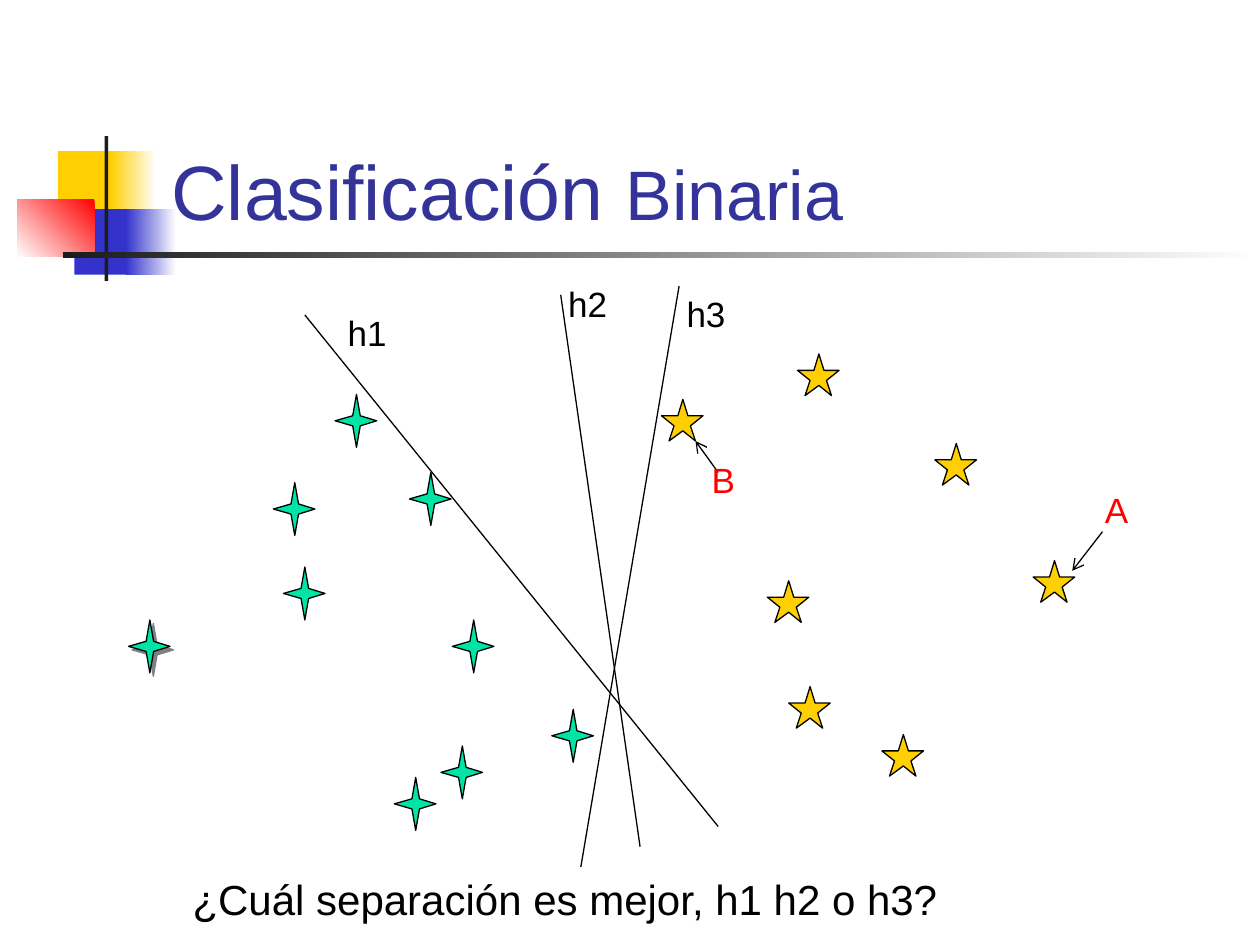
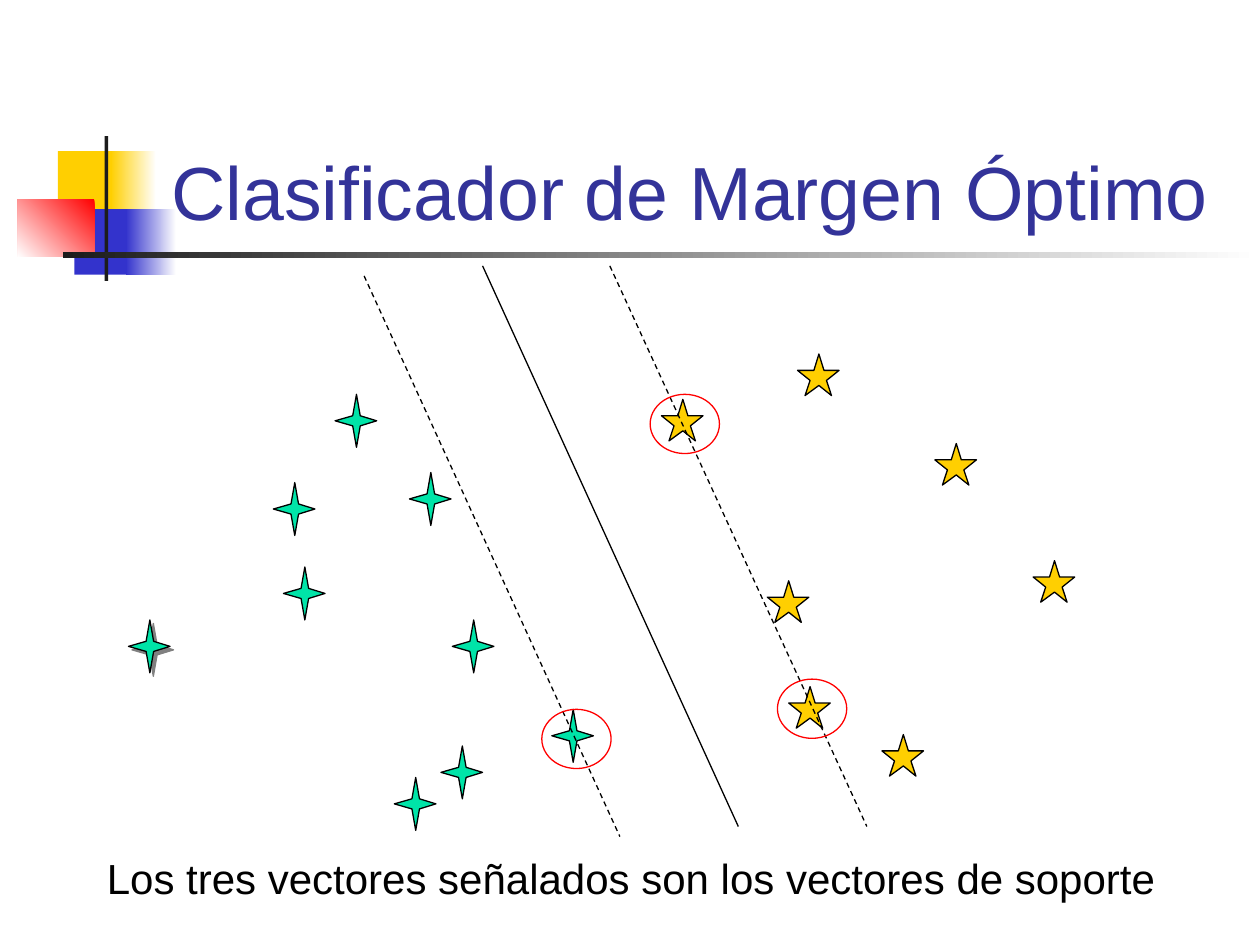
from dataclasses import dataclass

from lxml.etree import SubElement
from pptx import Presentation
from pptx.dml.color import RGBColor
from pptx.enum.dml import MSO_LINE
from pptx.enum.shapes import MSO_CONNECTOR as CONN, MSO_SHAPE as SHAPE
from pptx.enum.text import MSO_ANCHOR as ANCHOR, MSO_AUTO_SIZE as AUTO, PP_ALIGN as ALIGN
from pptx.oxml.ns import qn
from pptx.util import Inches, Pt


@dataclass(frozen=True)
class Theme:
    """Colours, font and sizes of the deck."""
    font: str = "Arial"
    title: str = "333399"
    text: str = "000000"
    accent: str = "FF0000"
    gold: str = "FFCF01"
    blue: str = "3333CC"
    dark: str = "1C1C1C"
    green: str = "00E4A8"
    white: str = "FFFFFF"
    shadow: str = "808080"
    caption_pt: int = 24
    label_pt: int = 20
    line_pt: float = 0.74


T = Theme()

# Band behind the title: box, colours (one is solid, two a gradient), angle
BAND = [
    ((0.46, 1.2, 0.48, 0.52), (T.gold,), 0),
    ((0.88, 1.2, 0.36, 0.52), (T.white, T.gold), 180),
    ((0.59, 1.66, 0.46, 0.52), (T.blue,), 0),
    ((1, 1.66, 0.4, 0.52), (T.white, T.blue), 180),
    ((0.14, 1.58, 0.61, 0.46), (T.accent, T.white), 225),
    ((0.83, 1.08, 0.03, 1.15), (T.dark,), 0),
    ((0.5, 2, 9.5, 0.05), (T.white, T.dark), 180),
]
TITLE_BOX = (1.26, 0.67, 8.52, 1.25)

# Outlines of the two markers, from their top left corner
SPARK = [(0, 0.21), (0.14, 0.17), (0.17, 0), (0.2, 0.17),
         (0.33, 0.21), (0.2, 0.25), (0.17, 0.42), (0.14, 0.25)]
STAR = [(0, 0.13), (0.13, 0.13), (0.17, 0), (0.21, 0.13), (0.33, 0.13),
        (0.23, 0.21), (0.27, 0.33), (0.17, 0.25), (0.06, 0.33), (0.1, 0.21)]

# The two classes: top left corner of each sample
SPARKS = [(2.17, 3.83), (2.25, 4.5), (3.25, 3.75), (3.59, 4.92), (4.38, 5.63),
          (3.5, 5.92), (2.66, 3.13), (3.13, 6.17)]
SHADED_SPARK = (1.02, 4.92)
STARS = [(6.09, 4.61), (6.33, 2.81), (7.42, 3.52), (5.25, 3.17),
         (7, 5.83), (8.2, 4.45), (6.26, 5.45)]
RING_SIZE = (0.55, 0.47)

SLIDES = [
    {
        "title": [("Clasificación ", 44), ("Binaria", 40)],
        "lines": [((2.42, 2.5), (5.7, 6.56), None),
                  ((4.45, 2.34), (5.08, 6.72), None),
                  ((5.39, 2.27), (4.61, 6.88), None),
                  ((8.75, 4.22), (8.51, 4.53), "arrow"),
                  ((5.7, 3.75), (5.52, 3.5), "arrow")],
        "labels": [("h1", (2.66, 2.42, 0.51, 0.44), T.text),
                   ("h2", (4.41, 2.19, 0.51, 0.44), T.text),
                   ("h3", (5.35, 2.27, 0.51, 0.44), T.text),
                   ("A", (8.67, 3.83, 0.38, 0.44), T.accent),
                   ("B", (5.55, 3.59, 0.38, 0.44), T.accent)],
        "rings": [],
        "caption": ("¿Cuál separación es mejor, h1 h2 o h3?", (1.43, 6.88, 6.13, 0.5)),
    },
    {
        "title": [("Clasificador de Margen Óptimo", 43)],
        "lines": [((4.84, 2.11), (6.88, 6.56), "dash"),
                  ((2.89, 2.19), (4.92, 6.64), "dash"),
                  ((3.83, 2.11), (5.86, 6.56), None)],
        "labels": [],
        "rings": [(5.16, 3.13), (6.17, 5.39), (4.3, 5.63)],
        "caption": ("Los tres vectores señalados son los vectores de soporte",
                    (0.75, 6.72, 8.52, 0.5)),
    },
]


def rgb(color):
    """Turn a hex string into a colour."""
    return RGBColor.from_string(color)


def inches(values):
    """Turn numbers into lengths."""
    return [Inches(v) for v in values]


def set_line(shape, color=T.text):
    """Give a shape or connector the deck's thin line."""
    shape.line.color.rgb = rgb(color)
    shape.line.width = Pt(T.line_pt)


def set_font(font, size, color):
    """Set family, size and colour of a font."""
    font.name, font.size = T.font, Pt(size)
    font.color.rgb = rgb(color)


def move_band_to_layout(slide, layout):
    """Draw the title band with a slide's tools and hand it to the layout."""
    for box, colors, angle in BAND:
        s = slide.shapes.add_shape(SHAPE.RECTANGLE, *inches(box))
        s.shadow.inherit = False
        s.line.fill.background()
        if len(colors) == 1:
            s.fill.solid()
            s.fill.fore_color.rgb = rgb(colors[0])
        else:
            s.fill.gradient()
            s.fill.gradient_angle = angle
            for stop, color in zip(s.fill.gradient_stops, colors):
                stop.color.rgb = rgb(color)
        layout.shapes.element.append(s.element)


def set_title(slide, runs):
    """Place the title and write its runs."""
    sp = slide.shapes.title
    sp.left, sp.top, sp.width, sp.height = inches(TITLE_BOX)
    tf = sp.text_frame
    tf.word_wrap, tf.auto_size = True, AUTO.NONE
    tf.vertical_anchor = ANCHOR.BOTTOM
    p = tf.paragraphs[0]
    p.alignment = ALIGN.LEFT
    for text, size in runs:
        r = p.add_run()
        r.text = text
        set_font(r.font, size, T.title)


def add_marker(slide, corner, outline, color):
    """Draw one sample from its outline."""
    x, y = corner
    points = [(Inches(x + dx), Inches(y + dy)) for dx, dy in outline]
    builder = slide.shapes.build_freeform(*points[0])
    builder.add_line_segments(points[1:], close=True)
    s = builder.convert_to_shape()
    s.shadow.inherit = False
    s.fill.solid()
    s.fill.fore_color.rgb = rgb(color)
    set_line(s)
    return s


def add_shadow(shape):
    """Give a shape a hard shadow to the lower right."""
    effects = shape.element.spPr.find(qn("a:effectLst"))
    shadow = SubElement(effects, qn("a:outerShdw"), dist=str(Pt(2.8)),
                        dir=str(45 * 60000), algn="ctr", rotWithShape="0")
    SubElement(shadow, qn("a:srgbClr"), val=T.shadow)


def add_line(slide, start, end, style):
    """Draw a line that is plain, dashed or ends in an arrow."""
    c = slide.shapes.add_connector(CONN.STRAIGHT, *inches(start + end))
    set_line(c)
    if style == "dash":
        c.line.dash_style = MSO_LINE.DASH
    elif style == "arrow":
        SubElement(c.element.spPr.find(qn("a:ln")), qn("a:tailEnd"), type="arrow")
    SubElement(c.element.spPr, qn("a:effectLst"))


def add_text(slide, text, box, size, color=T.text):
    """Add a one-line text box that fits its text."""
    tf = slide.shapes.add_textbox(*inches(box)).text_frame
    tf.word_wrap, tf.auto_size = False, AUTO.SHAPE_TO_FIT_TEXT
    p = tf.paragraphs[0]
    p.text = text
    set_font(p.font, size, color)


def add_ring(slide, corner):
    """Circle a support vector."""
    s = slide.shapes.add_shape(SHAPE.OVAL, *inches(corner + RING_SIZE))
    s.shadow.inherit = False
    s.fill.background()
    set_line(s, T.accent)


def add_samples(slide):
    """Draw both classes of samples."""
    for corner in SPARKS:
        add_marker(slide, corner, SPARK, T.green)
    for corner in STARS:
        add_marker(slide, corner, STAR, T.gold)
    add_shadow(add_marker(slide, SHADED_SPARK, SPARK, T.green))


def build_slide(slide, content):
    """Fill one slide from its content."""
    set_title(slide, content["title"])
    add_samples(slide)
    for line in content["lines"]:
        add_line(slide, *line)
    for text, box, color in content["labels"]:
        add_text(slide, text, box, T.label_pt, color)
    add_text(slide, *content["caption"], T.caption_pt)
    for corner in content["rings"]:
        add_ring(slide, corner)


prs = Presentation()
prs.slide_width, prs.slide_height = Inches(10), Inches(7.5)
layout = prs.slide_layouts.get_by_name("Title Only")
slides = [prs.slides.add_slide(layout) for _ in SLIDES]
move_band_to_layout(slides[0], layout)
for slide, content in zip(slides, SLIDES):
    build_slide(slide, content)
prs.save("out.pptx")
